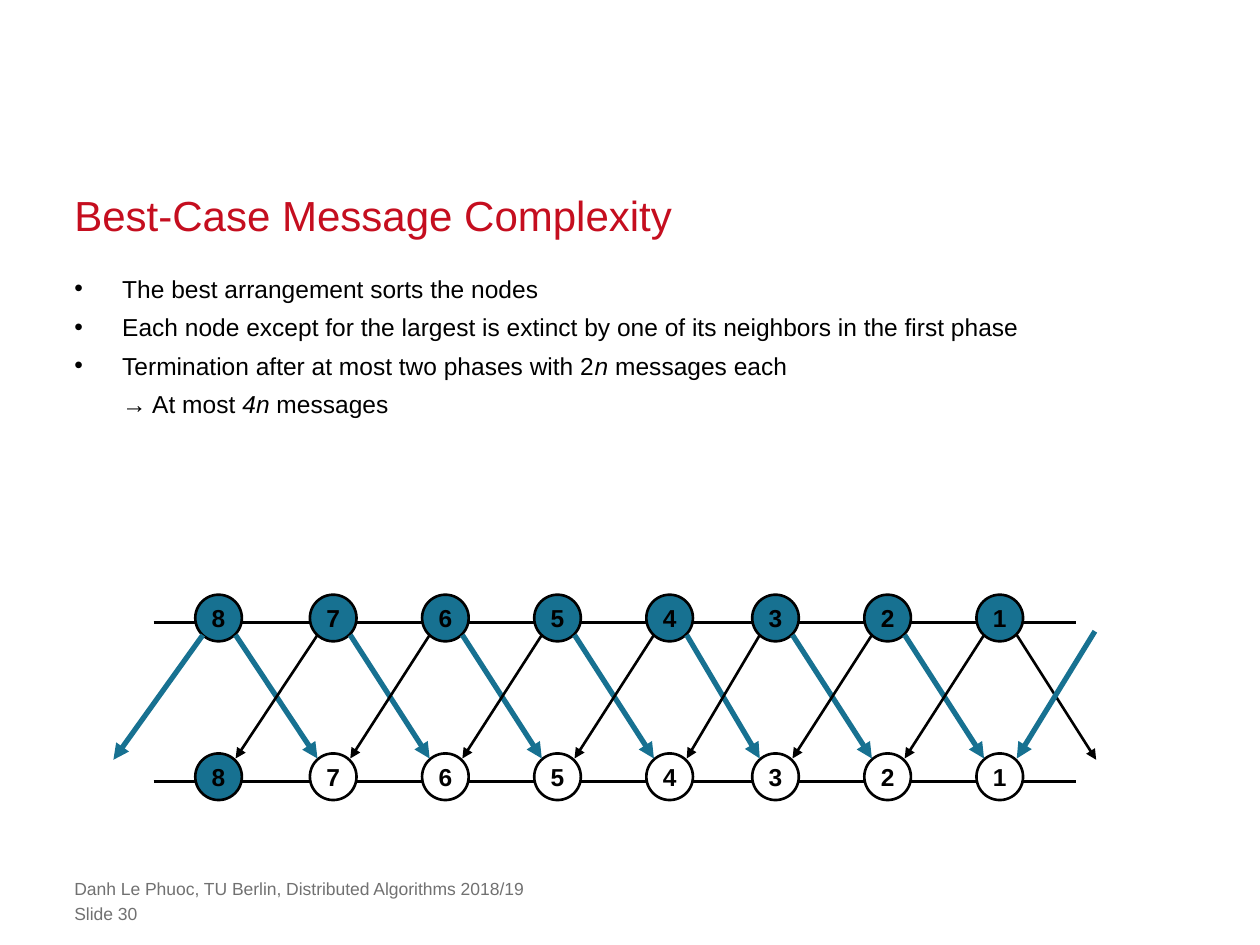
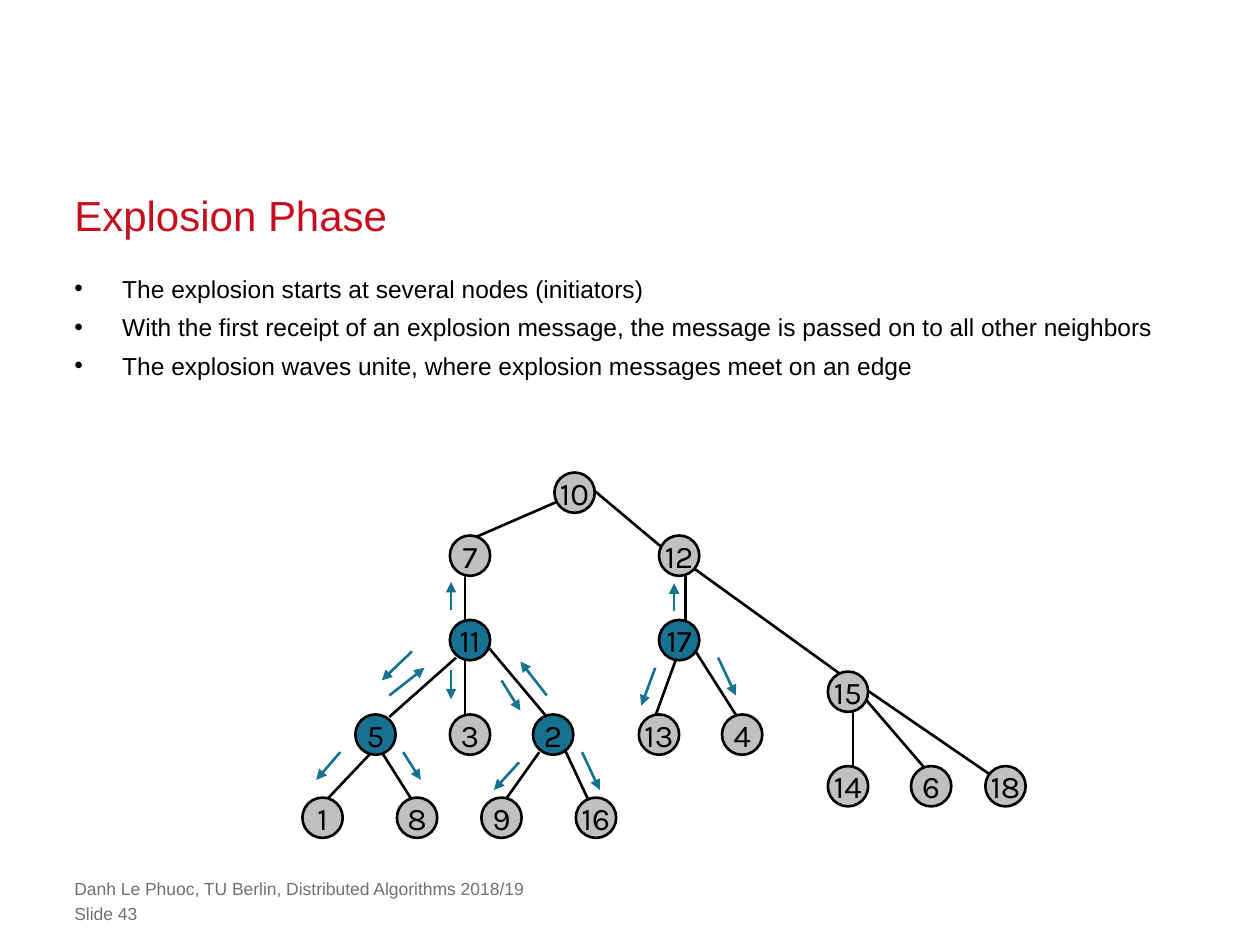
from lxml import etree
from pptx import Presentation
from pptx import util as u
from pptx.dml.color import RGBColor
from pptx.enum import shapes, text
from pptx.oxml.ns import qn

# Shared style
RED, TEAL, GREY, SILVER = "C50E1F", "177191", "717171", "C0C0C0"
BLACK, WHITE = "000000", "FFFFFF"
LEFT = 0.59
INDENT = 0.38
CREDIT = "Danh Le Phuoc, TU Berlin, Distributed Algorithms 2018/19"

# Ring of nodes: left edges in reading order
RING_LEFTS = [1.55, 2.46, 3.35, 4.24, 5.13, 5.97, 6.86, 7.75]
RING_DIAMETER = 0.37
ROW_TOPS = [4.72, 5.98]

# Tree: top of a level -> (label, left edge) of its nodes
TREE_DIAMETER = 0.32
TREE_LEVELS = {
    3.75: [(10, 4.4)],
    4.25: [(7, 3.57), (12, 5.23)],
    4.92: [(11, 3.57), (17, 5.23)],
    5.33: [(15, 6.57)],
    5.67: [(5, 2.82), (3, 3.57), (2, 4.23), (13, 5.07), (4, 5.73)],
    6.08: [(14, 6.57), (6, 7.23), (18, 7.82)],
    6.33: [(1, 2.4), (8, 3.15), (9, 3.82), (16, 4.57)],
}
INITIATORS = {11, 17, 5, 2}
TREE_EDGES = [
    (4.7, 3.88, 5.26, 4.35), (4.45, 3.97, 3.76, 4.27),
    (3.69, 4.55, 3.69, 4.94), (5.44, 4.55, 5.44, 4.94),
    (5.45, 4.47, 6.67, 5.35), (3.62, 5.22, 3.09, 5.69),
    (3.69, 5.22, 3.69, 5.69), (3.87, 5.13, 4.34, 5.69),
    (5.37, 5.22, 5.17, 5.77), (5.47, 5.09, 5.87, 5.72),
    (2.95, 5.97, 2.59, 6.35), (3.03, 5.97, 3.27, 6.35),
    (4.28, 5.97, 4.01, 6.35), (4.45, 5.88, 4.67, 6.35),
    (6.77, 5.63, 6.77, 6.19), (6.87, 5.55, 7.42, 6.19),
    (6.87, 5.47, 7.92, 6.19),
]
EXPLOSION_MESSAGES = [
    (2.7, 5.97, 2.51, 6.19), (3.09, 5.52, 3.37, 5.3),
    (3.2, 5.97, 3.34, 6.19), (4.12, 6.05, 3.92, 6.27),
    (4.34, 5.52, 4.13, 5.25), (4.62, 5.97, 4.76, 6.27),
    (5.2, 5.3, 5.09, 5.6), (5.35, 4.85, 5.35, 4.63),
    (5.7, 5.22, 5.84, 5.52), (3.98, 5.4, 4.13, 5.64),
    (3.58, 4.84, 3.58, 4.62), (3.58, 5.32, 3.58, 5.55),
    (3.27, 5.17, 3.03, 5.4),
]


def color(value):
    return RGBColor.from_string(value)


def add_span(para, words, size=14, fill=BLACK, font="Arial", bold=False, italic=False):
    span = para.add_run()
    span.text = words
    span.font.name = font
    span.font.size = u.Pt(size)
    span.font.bold = bold
    span.font.italic = italic
    span.font.color.rgb = color(fill)


def add_box(page, top, width, height, anchor=text.MSO_ANCHOR.TOP):
    box = page.shapes.add_textbox(u.Inches(LEFT), u.Inches(top),
                                  u.Inches(width), u.Inches(height))
    frame = box.text_frame
    frame.word_wrap = True
    frame.vertical_anchor = anchor
    frame.margin_left = frame.margin_right = 0
    frame.margin_top = frame.margin_bottom = 0
    return frame


def add_bullets(page, items):
    """Each item is a list of lines; each line alternates upright and italic spans."""
    frame = add_box(page, 2.1, 8.82, 4.45)
    for index, lines in enumerate(items):
        para = frame.add_paragraph() if index else frame.paragraphs[0]
        para.line_spacing = u.Pt(22)
        layout = para._p.get_or_add_pPr()
        layout.set("marL", str(u.Inches(INDENT)))
        layout.set("indent", str(-u.Inches(INDENT)))
        etree.SubElement(layout, qn("a:buFont")).set("typeface", "Arial")
        etree.SubElement(layout, qn("a:buChar")).set("char", "•")
        for row, spans in enumerate(lines):
            if row:
                para.add_line_break()
            for order, words in enumerate(spans):
                add_span(para, words, italic=order % 2 == 1)


def add_page(deck, title, number, items):
    page = deck.slides.add_slide(deck.slide_layouts[6])
    para = add_box(page, 1.48, 8.82, 0.42, text.MSO_ANCHOR.BOTTOM).paragraphs[0]
    para.line_spacing = u.Pt(30)
    add_span(para, title, size=24, fill=RED)
    add_bullets(page, items)
    for top, words in [(6.97, CREDIT), (7.17, f"Slide {number}")]:
        footer = add_box(page, top, 7.24, 0.17)
        add_span(footer.paragraphs[0], words, size=10, fill=GREY)
    return page


def add_node(page, label, left, top, diameter, back, **style):
    node = page.shapes.add_shape(shapes.MSO_SHAPE.OVAL, u.Inches(left), u.Inches(top),
                                 u.Inches(diameter), u.Inches(diameter))
    node.shadow.inherit = False
    node.fill.solid()
    node.fill.fore_color.rgb = color(back)
    node.line.color.rgb = color(BLACK)
    node.line.width = u.Pt(1.5)
    frame = node.text_frame
    frame.word_wrap = False
    frame.vertical_anchor = text.MSO_ANCHOR.MIDDLE
    para = frame.paragraphs[0]
    para.alignment = text.PP_ALIGN.CENTER
    add_span(para, str(label), **style)


def add_line(page, ends, fill=BLACK, width=1.5, arrow=False):
    line = page.shapes.add_connector(shapes.MSO_CONNECTOR.STRAIGHT,
                                     *[u.Inches(end) for end in ends])
    line.line.color.rgb = color(fill)
    line.line.width = u.Pt(width)
    properties = line._element.spPr
    if arrow:
        outline = properties.find(qn("a:ln"))
        etree.SubElement(outline, qn("a:tailEnd")).set("type", "triangle")
    etree.SubElement(properties, qn("a:effectLst"))


def draw_ring(page):
    # Both phases: a line with its nodes on top
    for phase, top in enumerate(ROW_TOPS):
        add_line(page, (1.22, top + 0.22, 8.54, top + 0.22))
        for index, left in enumerate(RING_LEFTS):
            back = WHITE if phase and index else TEAL
            add_node(page, 8 - index, left, top, RING_DIAMETER, back, bold=True)

    # Messages between neighbours: thick ones from the larger node
    start, end = 5.04, 6.02
    for left, right in zip(RING_LEFTS, RING_LEFTS[1:]):
        near, far = left + 0.32, right + 0.06
        add_line(page, (near, start, far, end), TEAL, 3, arrow=True)
        add_line(page, (far, start, near, end), arrow=True)

    # Messages that close the ring
    add_line(page, (1.61, start, 0.9, 6.03), TEAL, 3, arrow=True)
    add_line(page, (8.07, start, 8.7, 6.03), arrow=True)
    add_line(page, (8.69, 5.01, 8.07, end), TEAL, 3, arrow=True)


def draw_tree(page):
    for edge in TREE_EDGES:
        add_line(page, edge)
    for top, nodes in TREE_LEVELS.items():
        for label, left in nodes:
            back = TEAL if label in INITIATORS else SILVER
            add_node(page, label, left, top, TREE_DIAMETER, back, size=18, font="Karla")
    for message in EXPLOSION_MESSAGES:
        add_line(page, message, TEAL, arrow=True)


def main():
    deck = Presentation()
    deck.slide_width, deck.slide_height = u.Inches(10), u.Inches(7.5)

    draw_ring(add_page(deck, "Best-Case Message Complexity", 30, [
        [["The best arrangement sorts the nodes"]],
        [["Each node except for the largest is extinct by one of its neighbors"
          " in the first phase"]],
        [["Termination after at most two phases with 2", "n", " messages each"],
         ["→ At most ", "4n", " messages"]],
    ]))
    draw_tree(add_page(deck, "Explosion Phase", 43, [
        [["The explosion starts at several nodes (initiators)"]],
        [["With the first receipt of an explosion message, the message is passed on"
          " to all other neighbors"]],
        [["The explosion waves unite, where explosion messages meet on an edge"]],
    ]))
    deck.save("out.pptx")


if __name__ == "__main__":
    main()
